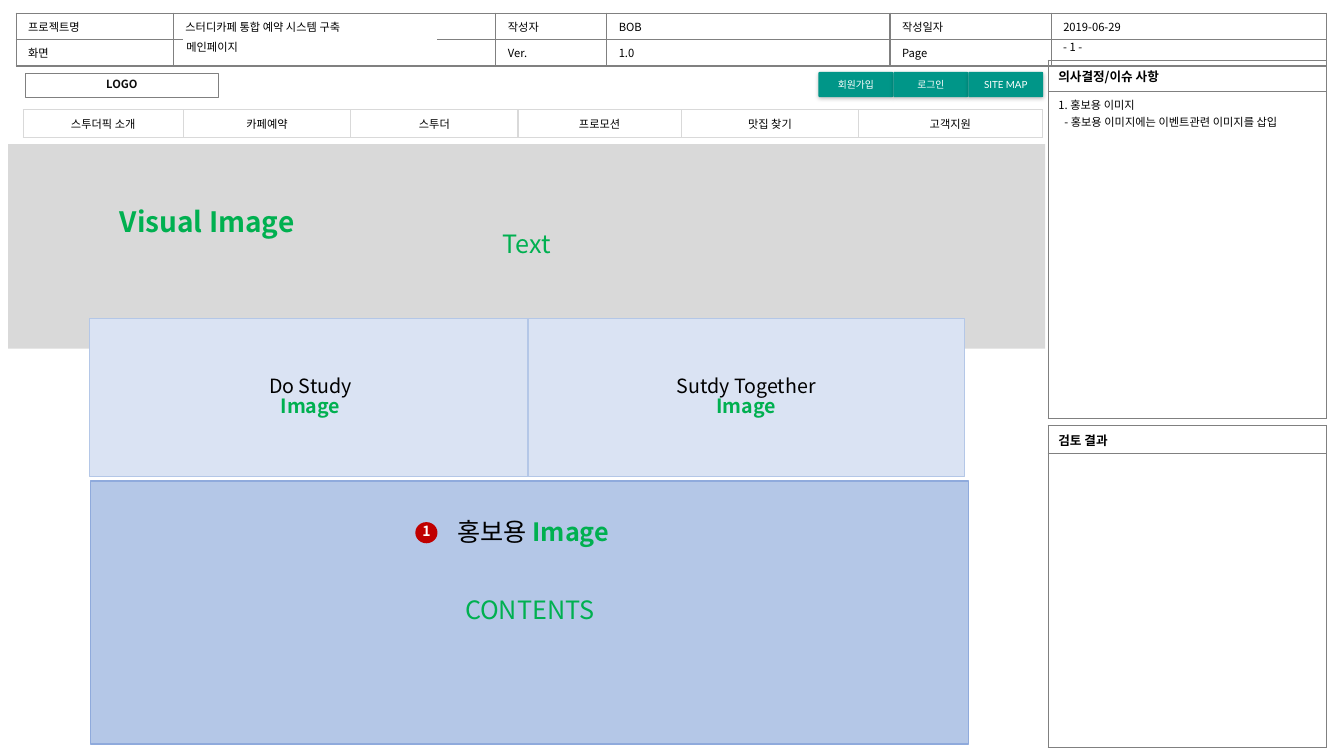
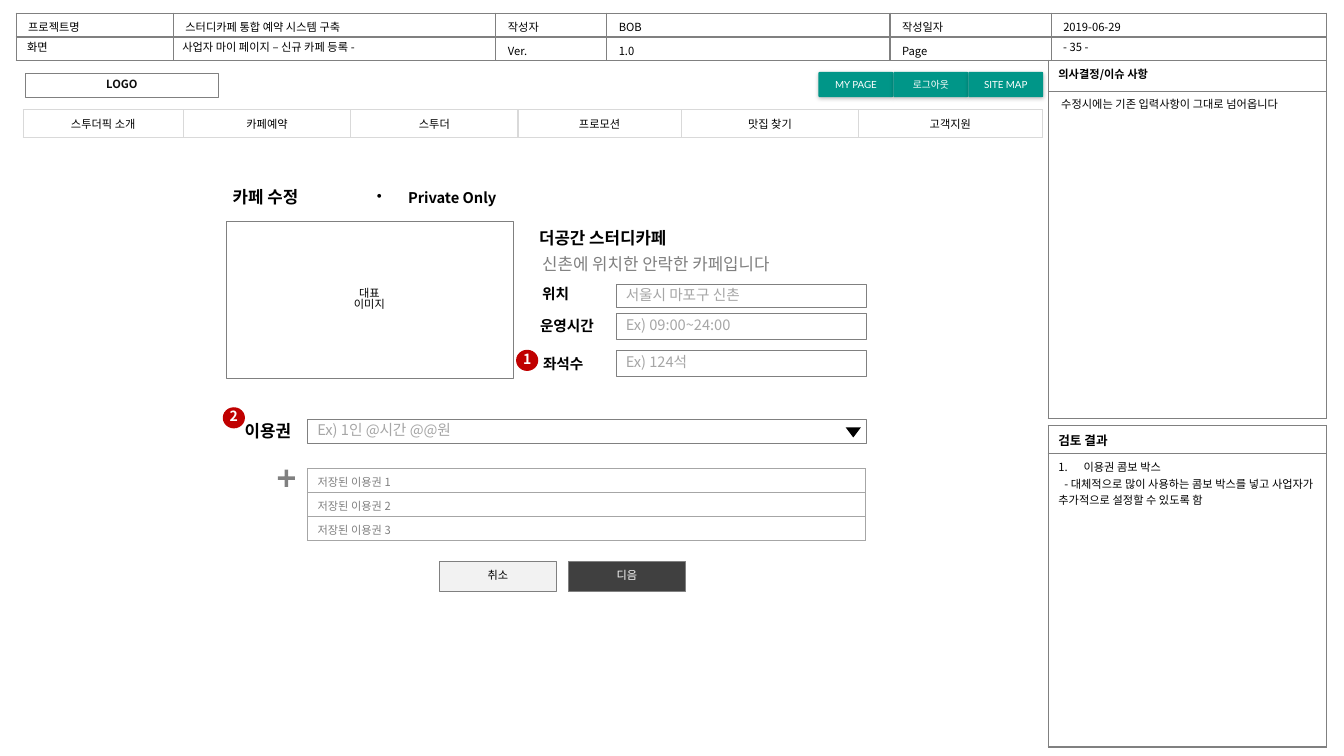
"""Build two storyboard slides for a study cafe booking site."""
from lxml.etree import SubElement
from pptx import Presentation
from pptx.dml.color import RGBColor as Color
from pptx.enum.shapes import MSO_SHAPE as Shape
from pptx.enum.text import MSO_ANCHOR as Anchor, PP_ALIGN as Align
from pptx.oxml.ns import qn
from pptx.util import Inches, Pt

COLORS = {
    "black": "000000", "ink": "0D0D0D", "white": "FFFFFF", "gray": "808080",
    "hint": "A6A6A6", "pale": "D9D9D9", "light": "F2F2F2", "dark": "404040",
    "teal": "009688", "green": "00B050", "red": "C00000",
    "sky": "DAE3F3", "blue": "B4C7E7", "edge": "8FAADC",
}
FONT = "Noto Sans CJK KR"
BUTTON_FONT = "Lato"
LINE_SPACING = 0.82

deck = Presentation()
deck.slide_width, deck.slide_height = Inches(13.333), Inches(7.5)
COL, ROW = deck.slide_width / 80, deck.slide_height / 45


def write_text(frame, text, size=8, color="black", bold=False,
               align=Align.LEFT, spacing=1.0, font=FONT):
    frame.text = text
    for para in frame.paragraphs:
        para.alignment = align
        para.line_spacing = spacing
        for span in para.runs:
            span.font.size, span.font.bold, span.font.name = Pt(size), bold, font
            span.font.color.rgb = Color.from_string(COLORS[color])
            SubElement(span.font._element, qn("a:ea"), typeface=FONT)
        if not para.runs:
            SubElement(para._p, qn("a:endParaRPr"), sz=str(size * 100))


def add_box(page, left, top, width, height, text="", kind=None, fill=None,
            line=None, weight=1, **style):
    place = [int(left * COL), int(top * ROW), int(width * COL), int(height * ROW)]
    if kind is None:
        box = page.shapes.add_textbox(*place)
    else:
        box = page.shapes.add_shape(kind, *place)
        box.shadow.inherit = False
        box.fill.background()
        box.line.fill.background()
    if fill:
        box.fill.solid()
        box.fill.fore_color.rgb = Color.from_string(COLORS[fill])
    if line:
        box.line.color.rgb = Color.from_string(COLORS[line])
        box.line.width = Pt(weight)
    frame = box.text_frame
    frame.word_wrap = True
    frame.vertical_anchor = Anchor.MIDDLE
    if text:
        write_text(frame, text, **{"spacing": LINE_SPACING, **style})
    return box


PAGES = [
    {
        "number": "- 1 -", "screen": "화면", "title": "메인페이지", "title_left": 10.5,
        "buttons": ["회원가입", "로그인", "SITE MAP"],
        "issue_size": 9, "issue_anchor": Anchor.MIDDLE,
        "issues": "1. 홍보용 이미지\n- 홍보용 이미지에는 이벤트관련 이미지를 삽입",
        "review": "", "tickets": [], "badges": [("1", 24.72, 31.08)],
    },
    {
        "number": "- 35 -", "screen": "", "title": "사업자 마이 페이지 – 신규 카페 등록 -",
        "title_left": 10.26,
        "buttons": ["MY PAGE", "로그아웃", "SITE MAP"],
        "issue_size": 8, "issue_anchor": Anchor.TOP, "issues": "",
        "review": "이용권 콤보 박스\n- 대체적으로 많이 사용하는 콤보 박스를 넣고 사업자가 추가적으로 설정할 수 있도록 함",
        "tickets": [[f"저장된 이용권 {number}"] for number in (1, 2, 3)],
        "badges": [("2", 13.26, 24.24), ("1", 30.72, 20.82)],
    },
]
MENU = ["스투더픽 소개", "카페예약", "스투더", "프로모션", "맛집 찾기", "고객지원"]
HEADER_COLS = [9.36, 19.2, 6.6, 16.86, 9.6, 16.38]
MENU_COLS = [9.54, 9.96, 9.96, 9.72, 10.56, 10.92]
PANEL_LEFT, PANEL_WIDTH = 62.4, 16.56
BUTTON_WIDTH = 4.46

pages, page_tables = [], []
for content in PAGES:
    page = deck.slides.add_slide(deck.slide_layouts[6])
    header = [
        ["프로젝트명", "스터디카페 통합 예약 시스템 구축", "작성자", "BOB", "작성일자", "2019-06-29"],
        [content["screen"], "", "Ver.", "1.0", "Page", ""],
    ]
    issues = [["의사결정/이슈 사항"], [content["issues"]]]
    review = [["검토 결과"], [content["review"]]]
    plain = {"title_size": 8, "title_bold": False, "anchor": Anchor.TOP,
             "line": "gray", "color": "black", "fill": None,
             "align": Align.LEFT, "margin": 0.1}
    panel = {**plain, "title_size": 9, "title_bold": True, "anchor": Anchor.MIDDLE}
    tables = [
        (header, 0.96, 0.78, HEADER_COLS, [1.42] * 2, {**plain, "margin": 0.12}),
        (issues, PANEL_LEFT, 3.6, [PANEL_WIDTH], [1.86, 19.44],
         {**panel, "title_size": content["issue_size"], "anchor": content["issue_anchor"]}),
        (review, PANEL_LEFT, 25.32, [PANEL_WIDTH], [1.68, 17.46], panel),
        ([MENU], 1.38, 6.54, MENU_COLS, [1.66],
         {**plain, "anchor": Anchor.MIDDLE, "line": "pale", "fill": "white",
          "align": Align.CENTER, "margin": 0.12}),
        (content["tickets"], 18.3, 27.9, [33.24], [1.42] * 3,
         {**plain, "line": "hint", "color": "gray", "fill": "white"}),
    ]
    built = []
    for texts, left, top, widths, heights, look in tables:
        if not texts:
            continue
        table = page.shapes.add_table(
            len(heights), len(widths), int(left * COL), int(top * ROW),
            int(sum(widths) * COL), int(sum(heights) * ROW)).table
        table.first_row = table.horz_banding = False
        for column, width in zip(table.columns, widths):
            column.width = int(width * COL)
        for row_index, height in enumerate(heights):
            table.rows[row_index].height = int(height * ROW)
            is_title = row_index == 0
            for column_index, text in enumerate(texts[row_index]):
                cell = table.cell(row_index, column_index)
                cell.margin_left = cell.margin_right = Inches(look["margin"])
                cell.vertical_anchor = look["anchor"] if is_title else Anchor.TOP
                write_text(cell.text_frame, text, look["title_size"] if is_title else 8,
                           look["color"], is_title and look["title_bold"], look["align"])
                for para in cell.text_frame.paragraphs:
                    if para.text.startswith("- "):
                        para._p.get_or_add_pPr().set("indent", str(Inches(0.06)))
                properties = cell._tc.get_or_add_tcPr()
                for side in ("a:lnL", "a:lnR", "a:lnT", "a:lnB"):
                    border = SubElement(properties, qn(side), w=str(Pt(1)))
                    paint = SubElement(border, qn("a:solidFill"))
                    SubElement(paint, qn("a:srgbClr"), val=COLORS[look["line"]])
                if look["fill"]:
                    cell.fill.solid()
                    cell.fill.fore_color.rgb = Color.from_string(COLORS[look["fill"]])
                else:
                    cell.fill.background()
        built.append(table)

    add_box(page, 10.92, 2.28, 15.06, 1.14, kind=Shape.RECTANGLE, fill="white", line="white")
    add_box(page, content["title_left"], 2.28, 15.72, 1.2, content["title"])
    add_box(page, 62.7, 2.16, 6.42, 1.44, content["number"])
    add_box(page, 1.5, 4.38, 11.52, 1.44, "LOGO", Shape.RECTANGLE, line="gray",
            weight=0.75, color="ink", bold=True, align=Align.CENTER)
    for index, label in enumerate(content["buttons"]):
        button = add_box(page, 48.72 + index * BUTTON_WIDTH, 4.28, BUTTON_WIDTH, 1.5, label,
                         Shape.ROUNDED_RECTANGLE, "teal", size=7, color="white",
                         align=Align.CENTER, spacing=1.0, font=BUTTON_FONT)
        button.adjustments[0] = 0.05
        button.text_frame.margin_left = button.text_frame.margin_right = Inches(0.08)
        effects = button._element.spPr.find(qn("a:effectLst"))
        shadow = SubElement(effects, qn("a:outerShdw"), blurRad=str(Pt(3)),
                            dist=str(Pt(1)), dir="5400000", algn="t", rotWithShape="0")
        shade = SubElement(shadow, qn("a:srgbClr"), val=COLORS["black"])
        SubElement(shade, qn("a:alpha"), val="25000")
    pages.append(page)
    page_tables.append(built)

main_page, cafe_page = pages

add_box(main_page, 0.48, 8.58, 61.74, 12.18, "Text", Shape.RECTANGLE, "pale",
        size=18, color="green", align=Align.CENTER)
add_box(main_page, 6.54, 12, 14.1, 2.64, "Visual Image", size=20, color="green", bold=True)
add_box(main_page, 5.4, 28.62, 52.26, 15.66, "CONTENTS", Shape.RECTANGLE, "blue", "edge",
        size=18, color="green", align=Align.CENTER)
accents = []
for left, width, label in [(5.34, 26.28, "Do Study"), (31.44, 25.98, "Sutdy Together")]:
    card = add_box(main_page, left, 18.96, width, 9.42, f"{label}\nImage", Shape.RECTANGLE,
                   "sky", "blue", size=14, align=Align.CENTER)
    accents.append(card.text_frame.paragraphs[1].runs[0])
promotion = add_box(main_page, 18.3, 30.6, 26.88, 2.4, "홍보용 ", size=18, align=Align.CENTER)
span = promotion.text_frame.paragraphs[0].add_run()
span.text = "Image"
span.font.size, span.font.name = Pt(18), FONT
accents.append(span)
for span in accents:
    span.font.bold = True
    span.font.color.rgb = Color.from_string(COLORS["green"])

add_box(cafe_page, 62.58, 5.52, 16.38, 1.44, "수정시에는 기존 입력사항이 그대로 넘어옵니다")
add_box(cafe_page, 1.02, 2.16, 4, 1.44, "화면")
for left, top, width, text, size in [
    (13.26, 10.92, 9.06, "카페 수정", 12),
    (31.5, 13.38, 9.84, "더공간 스터디카페", 12),
    (31.68, 16.68, 8.58, "위치", 10.5),
    (31.56, 18.6, 8.58, "운영시간", 10.5),
    (31.74, 20.82, 8.58, "좌석수", 10.5),
    (13.98, 24.84, 8.58, "이용권", 12),
]:
    add_box(cafe_page, left, top, width, 1.8, text, size=size, bold=True)
add_box(cafe_page, 31.68, 14.88, 16.44, 1.8, "신촌에 위치한 안락한 카페입니다", size=12, color="gray")
private = add_box(cafe_page, 21.84, 11.04, 12.84, 1.68, "Private Only", size=10.5, bold=True)
add_box(cafe_page, 13.44, 13.14, 17.1, 9.36, "대표\n이미지", Shape.RECTANGLE, "white", "gray",
        0.25, align=Align.CENTER)
for left, top, width, height, text in [
    (36.66, 16.92, 14.88, 1.38, "서울시 마포구 신촌"),
    (36.66, 18.66, 14.88, 1.56, "Ex) 09:00~24:00"),
    (36.66, 20.82, 14.88, 1.56, "Ex) 124석"),
    (18.3, 24.96, 33.24, 1.44, "Ex) 1인 @시간 @@원"),
]:
    add_box(cafe_page, left, top, width, height, text, Shape.RECTANGLE, "white", "gray",
            0.25, size=10.5, color="hint")
for left, text, fill, color in [(26.16, "취소", "light", "black"), (33.84, "디음", "dark", "white")]:
    add_box(cafe_page, left, 33.42, 6.96, 1.8, text, Shape.RECTANGLE, fill, "gray", 0.25,
            color=color, align=Align.CENTER)
arrow = add_box(cafe_page, 50.34, 25.44, 0.9, 0.6, kind=Shape.ISOSCELES_TRIANGLE, fill="black")
arrow.rotation = 180
plus = add_box(cafe_page, 16.54, 27.96, 1.02, 1.02, kind=Shape.CROSS, fill="gray")
plus.adjustments[0] = 0.4

for para, tag, marker, indent in [
    (private.text_frame.paragraphs[0], "a:buChar", {"char": "•"}, 0.31),
    (page_tables[1][2].cell(1, 0).text_frame.paragraphs[0], "a:buAutoNum",
     {"type": "arabicPeriod"}, 0.25),
]:
    properties = para._p.get_or_add_pPr()
    properties.set("marL", str(Inches(indent)))
    properties.set("indent", str(-Inches(indent)))
    SubElement(properties, qn(tag), **marker)

for page, content in zip(pages, PAGES):
    for number, left, top in content["badges"]:
        badge = add_box(page, left, top, 1.32, 1.26, number, Shape.OVAL, "red",
                        size=10, color="white", bold=True, align=Align.CENTER)
        badge.text_frame.margin_left = badge.text_frame.margin_right = 0

deck.save("out.pptx")
